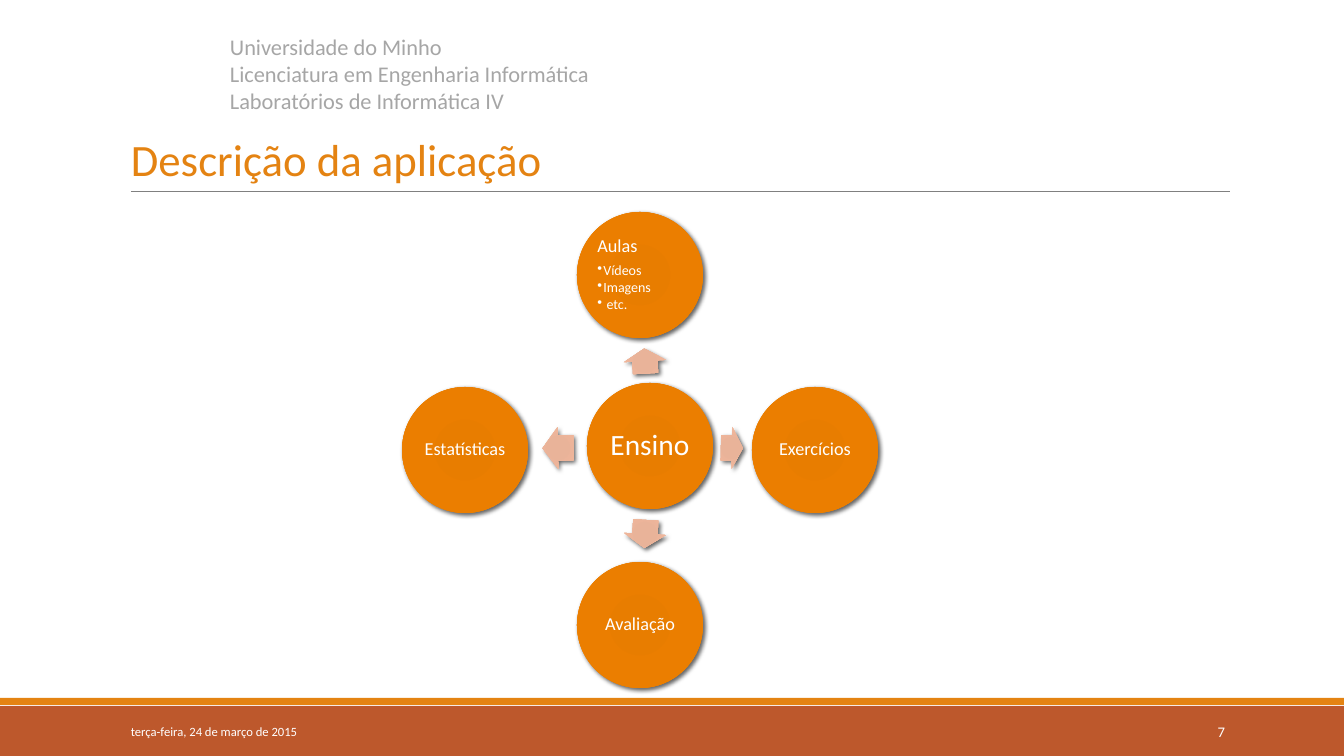
from lxml import etree
from pptx import Presentation
from pptx import util as u
from pptx.dml.color import RGBColor
from pptx.enum import shapes, text
from pptx.oxml import ns, parse_xml

PX = 914400 / 100.8
FONT = "Calibri"
WHITE = RGBColor(0xFF, 0xFF, 0xFF)
ORANGE = RGBColor(0xE4, 0x83, 0x12)
RUST = RGBColor(0xBD, 0x58, 0x2C)
RULE_GREY = RGBColor(0x80, 0x80, 0x80)
HEADER_GREY = RGBColor(0xA6, 0xA6, 0xA6)
SHADOW = RGBColor(0, 0, 0)
CIRCLE_STOPS = (
    (0, RGBColor(0xE5, 0x7B, 0x00)), (34, RGBColor(0xE8, 0x7D, 0x00)),
    (70, RGBColor(0xEB, 0x7E, 0x00)), (100, RGBColor(0xEF, 0x84, 0x07)),
)
ARROW_STOPS = (
    (0, RGBColor(0xE8, 0xB1, 0x96)), (34, RGBColor(0xE9, 0xB3, 0x99)),
    (70, RGBColor(0xEE, 0xB5, 0x9A)), (100, RGBColor(0xF3, 0xC0, 0xA8)),
)
DIAMETER = 126
ARROW_WIDTH = 42
RING_X, RING_Y, RING_RADIUS = 640, 450, 175


def px(length):
    return u.Emu(round(length * PX))


def style_paragraph(paragraph, size, color, align=text.PP_ALIGN.LEFT):
    paragraph.alignment = align
    paragraph.font.name = FONT
    paragraph.font.size = u.Pt(size)
    paragraph.font.color.rgb = color


def add_text(slide, box, lines, size, color, anchor, align=text.PP_ALIGN.LEFT, spacing=1.0):
    frame = slide.shapes.add_textbox(*map(px, box)).text_frame
    frame.word_wrap = True
    frame.vertical_anchor = anchor
    frame.text = lines
    for paragraph in frame.paragraphs:
        style_paragraph(paragraph, size, color, align)
        paragraph.line_spacing = spacing


def add_shape(slide, kind, box):
    shape = slide.shapes.add_shape(kind, *map(px, box))
    shape.shadow.inherit = False
    shape.line.fill.background()
    return shape


def add_band(slide, top, height, color):
    band = add_shape(slide, shapes.MSO_SHAPE.RECTANGLE, (0, top, 1344, height))
    band.fill.solid()
    band.fill.fore_color.rgb = color


def add_rule(slide, left, right, y):
    rule = slide.shapes.add_connector(shapes.MSO_CONNECTOR.STRAIGHT, px(left), px(y), px(right), px(y))
    rule.line.color.rgb = RULE_GREY
    rule.line.width = u.Pt(0.5)
    etree.SubElement(rule.element.spPr, ns.qn("a:effectLst"))


def add_glossy_shape(slide, kind, center_x, center_y, width, height, stops):
    shape = add_shape(slide, kind, (center_x - width / 2, center_y - height / 2, width, height))
    shape.fill.background()
    properties = shape.element.spPr
    stop_xml = "".join(
        f'<a:gs pos="{position * 1000}"><a:srgbClr val="{color}"/></a:gs>' for position, color in stops
    )
    gradient = parse_xml(
        f'<a:gradFill {ns.nsdecls("a")} rotWithShape="1"><a:gsLst>{stop_xml}</a:gsLst><a:path path="circle">'
        '<a:fillToRect l="100000" t="100000" r="100000" b="100000"/></a:path></a:gradFill>'
    )
    properties.replace(properties.find(ns.qn("a:noFill")), gradient)
    properties.find(ns.qn("a:effectLst")).append(parse_xml(
        f'<a:outerShdw {ns.nsdecls("a")} blurRad="{u.Pt(3)}" dist="{u.Pt(2)}" dir="2700000" rotWithShape="0">'
        f'<a:srgbClr val="{SHADOW}"><a:alpha val="60000"/></a:srgbClr></a:outerShdw>'
    ))
    return shape


def add_arrow(slide, center_x, center_y, length, rotation):
    arrow = add_glossy_shape(
        slide, shapes.MSO_SHAPE.RIGHT_ARROW, center_x, center_y, length, ARROW_WIDTH, ARROW_STOPS
    )
    arrow.adjustments[0] = 0.6
    arrow.adjustments[1] = 0.5
    arrow.rotation = rotation


def add_bullet(paragraph):
    paragraph.level = 1
    properties = paragraph._p.get_or_add_pPr()
    properties.set("marL", str(px(6)))
    properties.set("indent", str(-px(6)))
    bullet = etree.Element(ns.qn("a:buChar"), char="•")
    properties.find(ns.qn("a:defRPr")).addprevious(bullet)


def add_circle(slide, center_x, center_y, title, size=13, inset=2, items=()):
    circle = add_glossy_shape(
        slide, shapes.MSO_SHAPE.OVAL, center_x, center_y, DIAMETER, DIAMETER, CIRCLE_STOPS
    )
    frame = circle.text_frame
    frame.word_wrap = True
    frame.vertical_anchor = text.MSO_ANCHOR.MIDDLE
    frame.margin_left = frame.margin_top = frame.margin_right = frame.margin_bottom = px(inset)
    heading = frame.paragraphs[0]
    heading.text = title
    style_paragraph(heading, size, WHITE, text.PP_ALIGN.LEFT if items else text.PP_ALIGN.CENTER)
    heading.line_spacing = 0.9
    heading.space_after = u.Pt(size * 0.35)
    for item in items:
        paragraph = frame.add_paragraph()
        paragraph.text = item
        style_paragraph(paragraph, 10, WHITE)
        paragraph.line_spacing = 0.9
        paragraph.space_after = u.Pt(1.5)
        add_bullet(paragraph)


def main():
    presentation = Presentation()
    presentation.slide_width, presentation.slide_height = px(1344), px(756)
    slide = presentation.slides.add_slide(presentation.slide_layouts[6])

    add_band(slide, 706, 50, RUST)
    add_band(slide, 698, 7, ORANGE)
    add_rule(slide, 131, 1230, 191)
    add_text(slide, (121, 31, 1109, 160), "Descrição da aplicação", 32, ORANGE,
             text.MSO_ANCHOR.BOTTOM, spacing=0.85)

    add_circle(slide, 650, 446, "Ensino", size=21, inset=3)
    add_arrow(slide, 645, 361, 25, 266.9)
    add_circle(slide, RING_X, RING_Y - RING_RADIUS, "Aulas", items=("Vídeos", "Imagens", " etc."))
    add_arrow(slide, 732, 448, 22, 1.1)
    add_circle(slide, RING_X + RING_RADIUS, RING_Y, "Exercícios")
    add_arrow(slide, 645, 534, 28, 93)
    add_circle(slide, RING_X, RING_Y + RING_RADIUS, "Avaliação")
    add_arrow(slide, 558, 448, 31, 179)
    add_circle(slide, RING_X - RING_RADIUS, RING_Y, "Estatísticas")

    add_text(slide, (121, 712, 272, 40), "terça-feira, 24 de março de 2015", 9, WHITE,
             text.MSO_ANCHOR.MIDDLE)
    add_text(slide, (1091, 712, 144, 40), "7", 10.5, WHITE,
             text.MSO_ANCHOR.MIDDLE, text.PP_ALIGN.RIGHT)
    add_text(slide, (220, 28, 405, 92),
             "Universidade do Minho\vLicenciatura em Engenharia Informática\nLaboratórios de Informática IV",
             16, HEADER_GREY, text.MSO_ANCHOR.TOP)
    presentation.save("out.pptx")


if __name__ == "__main__":
    main()
